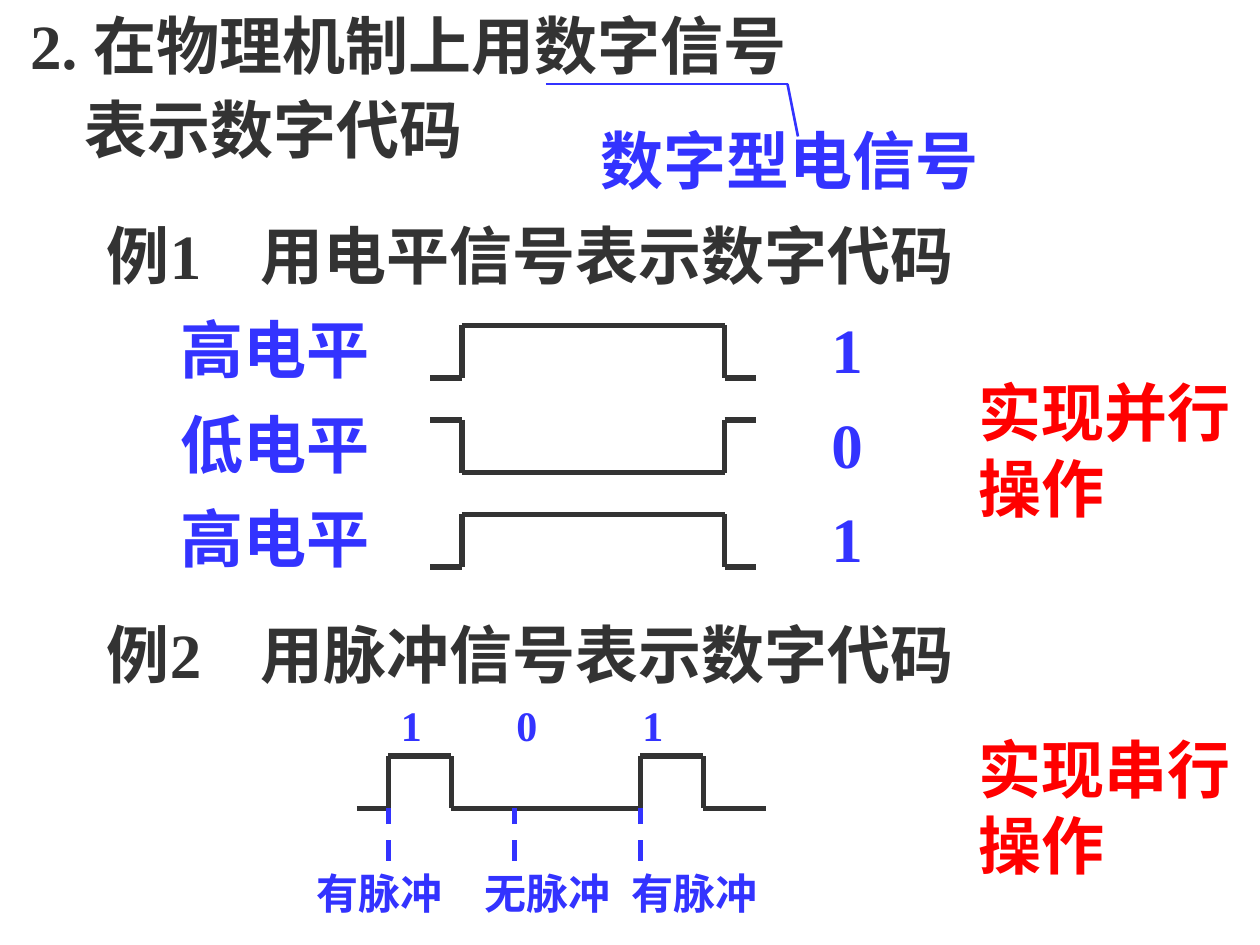
from dataclasses import dataclass
from itertools import pairwise

from lxml import etree
from pptx import Presentation
from pptx.dml.color import RGBColor
from pptx.enum.dml import MSO_LINE
from pptx.enum.shapes import MSO_CONNECTOR
from pptx.enum.text import MSO_AUTO_SIZE
from pptx.oxml.ns import qn
from pptx.util import Inches, Pt

STRAIGHT = MSO_CONNECTOR.STRAIGHT
DASH = MSO_LINE.DASH
FIT_SHAPE = MSO_AUTO_SIZE.SHAPE_TO_FIT_TEXT


@dataclass(frozen=True)
class Theme:
    font: str = "Times New Roman"
    dark: RGBColor = RGBColor(0x33, 0x33, 0x33)
    blue: RGBColor = RGBColor(0x33, 0x33, 0xFF)
    red: RGBColor = RGBColor(0xFF, 0x00, 0x00)
    large: int = 36
    small: int = 24
    thin: float = 1.5
    thick: float = 3


theme = Theme()
presentation = Presentation()
presentation.slide_width = Inches(10)
presentation.slide_height = Inches(7.5)
slide = presentation.slides.add_slide(presentation.slide_layouts[6])

# The slide is a grid of 120 columns by 90 rows of square cells.
CELL = presentation.slide_width / 120
LARGE_HEIGHT, SMALL_HEIGHT, TWO_LINE_HEIGHT = 8.4, 6, 15.6


def add_text(text, column, row, columns, rows=LARGE_HEIGHT, color=theme.blue,
             size=theme.large, inset=0.1, tab=None):
    """Place bold text on the grid; inset and tab are in inches."""
    box = slide.shapes.add_textbox(*(round(n * CELL) for n in (column, row, columns, rows)))
    frame = box.text_frame
    frame.word_wrap = True
    frame.auto_size = FIT_SHAPE
    frame.margin_left = Inches(inset)
    frame.text = text
    paragraph = frame.paragraphs[0]
    if tab:
        tabs = etree.SubElement(paragraph._p.get_or_add_pPr(), qn("a:tabLst"))
        etree.SubElement(tabs, qn("a:tab"), pos=str(Inches(tab)), algn="l")
    font = paragraph.runs[0].font
    font.name, font.size, font.bold = theme.font, Pt(size), True
    font.color.rgb = color


def add_path(shapes, points, color=theme.dark, width=theme.thick, dash=None):
    """Join grid points (column, row) with straight lines."""
    for start, end in pairwise(points):
        line = shapes.add_connector(STRAIGHT, *(round(n * CELL) for n in (*start, *end)))
        line.line.color.rgb = color
        line.line.width = Pt(width)
        if dash:
            line.line.dash_style = dash
        etree.SubElement(line._element.spPr, qn("a:effectLst"))


# Title and its callout
add_text("2. 在物理机制上用数字信号", 0, 0, 95, color=theme.dark, inset=0.24)
add_text("表示数字代码", 0, 8, 55, color=theme.dark, inset=0.67)
add_path(slide.shapes, [(52, 8), (75, 8), (76, 13)], theme.blue, theme.thin)
add_text("数字型电信号", 56, 11, 47)

# Example headings
for text, row in (("例1\t用电平信号表示数字代码", 20), ("例2\t用脉冲信号表示数字代码", 58)):
    add_text(text, 9, row, 94, color=theme.dark, tab=1.22)

# Example 1: one level signal per digit
for index, (label, digit) in enumerate((("高电平", "1"), ("低电平", "0"), ("高电平", "1"))):
    row = 29 + 9 * index
    high, low = row + 2, row + 7
    rest, active = (low, high) if digit == "1" else (high, low)
    add_text(label, 16, row, 31)
    add_text(digit, 78, row, 16)
    add_path(slide.shapes.add_group_shape().shapes,
             [(41, rest), (44, rest), (44, active), (69, active), (69, rest), (72, rest)])

# Example 2: a pulse train
PULSE_HIGH, PULSE_LOW, PULSE_LABEL = 72, 77, 82
pulse_train = [(34, PULSE_LOW)]
for rise in (37, 61):
    fall = rise + 6
    pulse_train += [(rise, PULSE_LOW), (rise, PULSE_HIGH), (fall, PULSE_HIGH), (fall, PULSE_LOW)]
pulse_train.append((73, PULSE_LOW))
add_path(slide.shapes.add_group_shape().shapes, pulse_train)

pulses = (("1", 37, "有脉冲", 29, 37), ("0", 48, "无脉冲", 45, 49), ("1", 60, "有脉冲", 59, 61))
for digit, digit_column, label, label_column, marker in pulses:
    add_path(slide.shapes, [(marker, PULSE_LABEL), (marker, PULSE_LOW)], theme.blue, dash=DASH)
    add_text(digit, digit_column, 66, 9, SMALL_HEIGHT, size=theme.small)
    add_text(label, label_column, PULSE_LABEL, 19, SMALL_HEIGHT, size=theme.small)

# Conclusions
for text, row in (("实现并行操作", 35), ("实现串行操作", 69)):
    add_text(text, 92, row, 28, TWO_LINE_HEIGHT, theme.red)

presentation.save("out.pptx")
